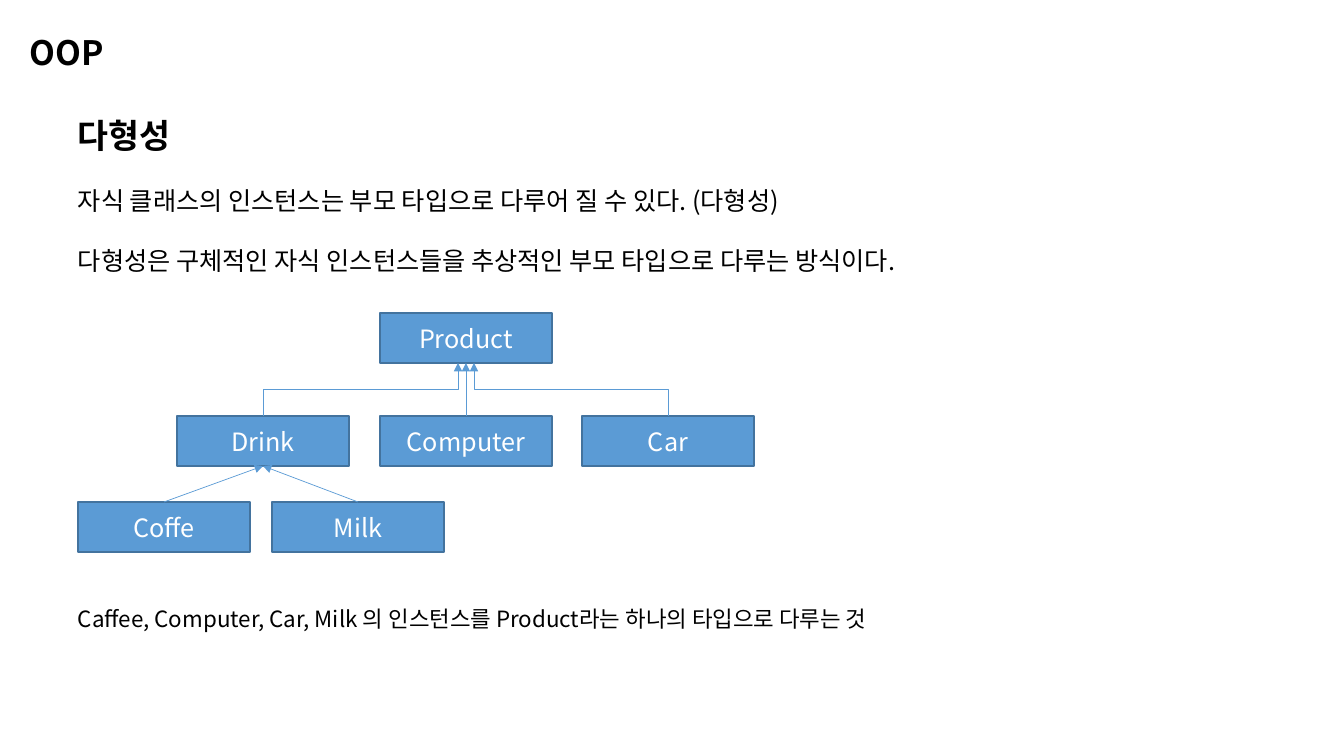
import pptx
import pptx.util
import pptx.dml.color
import pptx.enum.shapes
import pptx.enum.text
import pptx.oxml
import pptx.oxml.ns

PX = 914400 / 100.8  # EMU per px
FONT = "Noto Sans CJK KR"
COLORS = {"text": "000000", "box": "5B9BD5", "border": "43739E",
          "label": "FFFFFF", "arrow": "5B9BD5"}
BOX_W, BOX_H = 172, 50

# Class boxes: name -> left, top
CLASSES = {
    "Product": (380, 313),
    "Drink": (177, 416),
    "Computer": (380, 416),
    "Car": (582, 416),
    "Coffe": (78, 502),
    "Milk": (272, 502),
}


def px(n):
    return pptx.util.Emu(round(n * PX))


def rgb(name):
    return pptx.dml.color.RGBColor.from_string(COLORS[name])


def format_runs(p, size, color, bold=False):
    for r in p.runs:
        r.font.name = FONT
        r.font.size = pptx.util.Pt(size)
        r.font.bold = bold
        r.font.color.rgb = rgb(color)
        # East Asian typeface for Hangul
        ea = pptx.oxml.parse_xml(
            f'<a:ea {pptx.oxml.ns.nsdecls("a")} typeface="{FONT}"/>')
        r.font._element.find(pptx.oxml.ns.qn("a:latin")).addnext(ea)


def add_text(s, left, top, width, height, lines, gap=0, spacing=None):
    """Each line is (text, size, bold); gap is in points between lines."""
    tf = s.shapes.add_textbox(px(left), px(top), px(width), px(height)).text_frame
    tf.word_wrap = True
    tf.auto_size = pptx.enum.text.MSO_AUTO_SIZE.SHAPE_TO_FIT_TEXT
    tf.text = "\n".join(text for text, size, bold in lines)
    for i, (p, (text, size, bold)) in enumerate(zip(tf.paragraphs, lines)):
        if i:
            p.space_before = pptx.util.Pt(gap)
        if spacing:
            p.line_spacing = spacing
        format_runs(p, size, "text", bold)


def add_class_box(s, name, left, top):
    sp = s.shapes.add_shape(pptx.enum.shapes.MSO_SHAPE.RECTANGLE,
                            px(left), px(top), px(BOX_W), px(BOX_H))
    sp.shadow.inherit = False
    sp.fill.solid()
    sp.fill.fore_color.rgb = rgb("box")
    sp.line.color.rgb = rgb("border")
    sp.line.width = pptx.util.Pt(1)
    tf = sp.text_frame
    tf.text = name
    tf.vertical_anchor = pptx.enum.text.MSO_ANCHOR.MIDDLE
    p = tf.paragraphs[0]
    p.alignment = pptx.enum.text.PP_ALIGN.CENTER
    format_runs(p, 18, "label")


def add_arrow(s, child, parent, shift=0, bent=False):
    """Arrow from the top of child to the bottom of parent."""
    x1, y1 = CLASSES[child][0] + BOX_W / 2, CLASSES[child][1]
    x2 = CLASSES[parent][0] + BOX_W / 2 + shift
    y2 = CLASSES[parent][1] + BOX_H
    kind = pptx.enum.shapes.MSO_CONNECTOR.STRAIGHT
    turn = 0
    if bent:
        # An elbow leaves sideways, so lay it flat and turn it about its centre
        kind = pptx.enum.shapes.MSO_CONNECTOR.ELBOW
        turn = 90 if x2 > x1 else 270
        cx, cy = (x1 + x2) / 2, (y1 + y2) / 2
        half_w, half_h = (y1 - y2) / 2, abs(x2 - x1) / 2
        side = 1 if turn == 90 else -1
        x1, x2 = cx + side * half_w, cx - side * half_w
        y1, y2 = cy + half_h, cy - half_h
    c = s.shapes.add_connector(kind, px(x1), px(y1), px(x2), px(y2))
    c.line.color.rgb = rgb("arrow")
    c.line.width = pptx.util.Pt(0.5)
    sp_pr = c.element.spPr
    if turn:
        sp_pr.find(pptx.oxml.ns.qn("a:xfrm")).set("rot", str(turn * 60000))
    ns = pptx.oxml.ns.nsdecls("a")
    ln = sp_pr.find(pptx.oxml.ns.qn("a:ln"))
    ln.append(pptx.oxml.parse_xml(f'<a:tailEnd {ns} type="triangle"/>'))
    sp_pr.append(pptx.oxml.parse_xml(f"<a:effectLst {ns}/>"))


def main():
    prs = pptx.Presentation()
    prs.slide_width, prs.slide_height = px(1344), px(756)
    s = prs.slides.add_slide(prs.slide_layouts[6])

    # Heading and explanation
    add_text(s, 20, 27, 501, 50, [("OOP", 24, True)])
    add_text(s, 68, 110, 1249, 173, [
        ("다형성", 24, True),
        ("자식 클래스의 인스턴스는 부모 타입으로 다루어 질 수 있다. (다형성)", 18, False),
        ("다형성은 구체적인 자식 인스턴스들을 추상적인 부모 타입으로 다루는 방식이다.", 18, False),
    ], gap=21.5)

    # Class hierarchy
    for name, (left, top) in CLASSES.items():
        add_class_box(s, name, left, top)
    add_arrow(s, "Drink", "Product", shift=-8, bent=True)
    add_arrow(s, "Computer", "Product")
    add_arrow(s, "Car", "Product", shift=8, bent=True)
    for drink in ("Coffe", "Milk"):
        add_arrow(s, drink, "Drink")

    # Conclusion
    add_text(s, 68, 587, 1059, 50, [
        ("Caffee, Computer, Car, Milk 의 인스턴스를 Product라는 하나의 타입으로 다루는 것", 16, False),
    ], spacing=1.5)

    prs.save("out.pptx")


if __name__ == "__main__":
    main()
